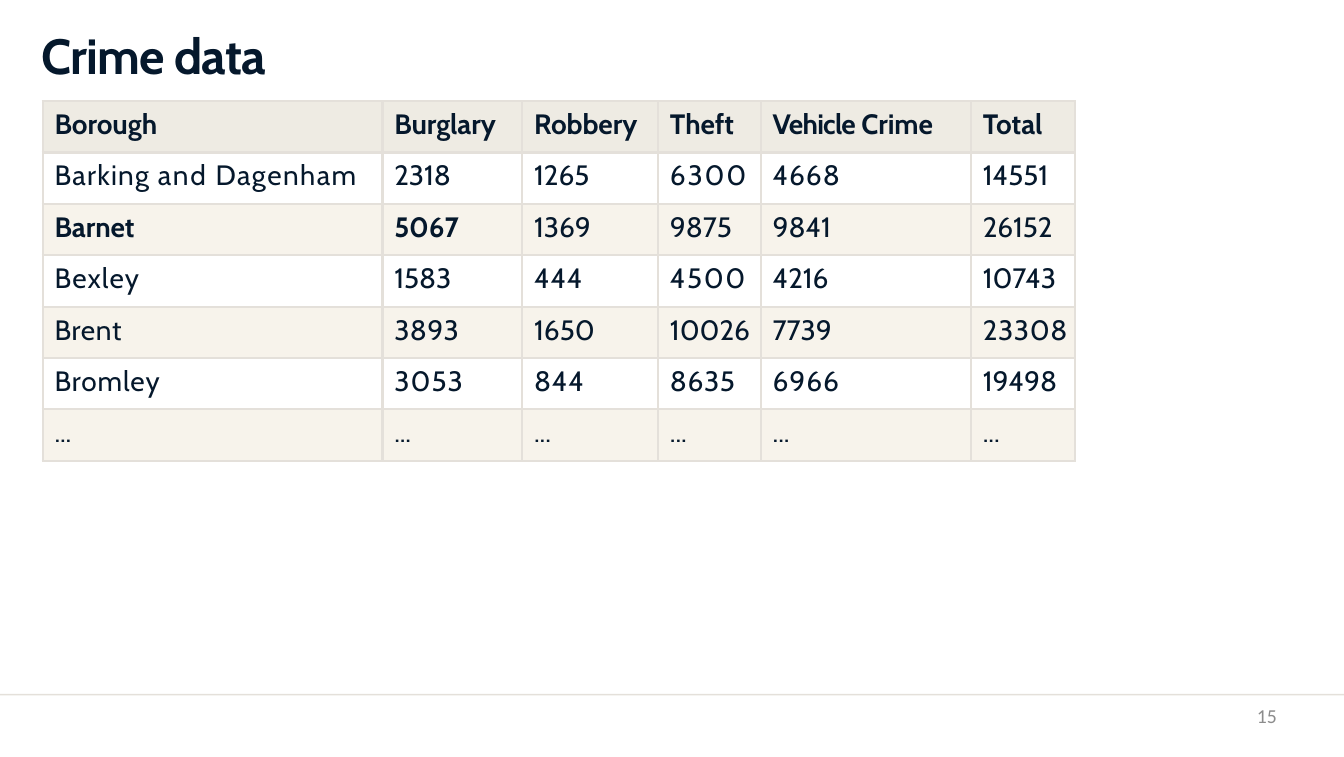
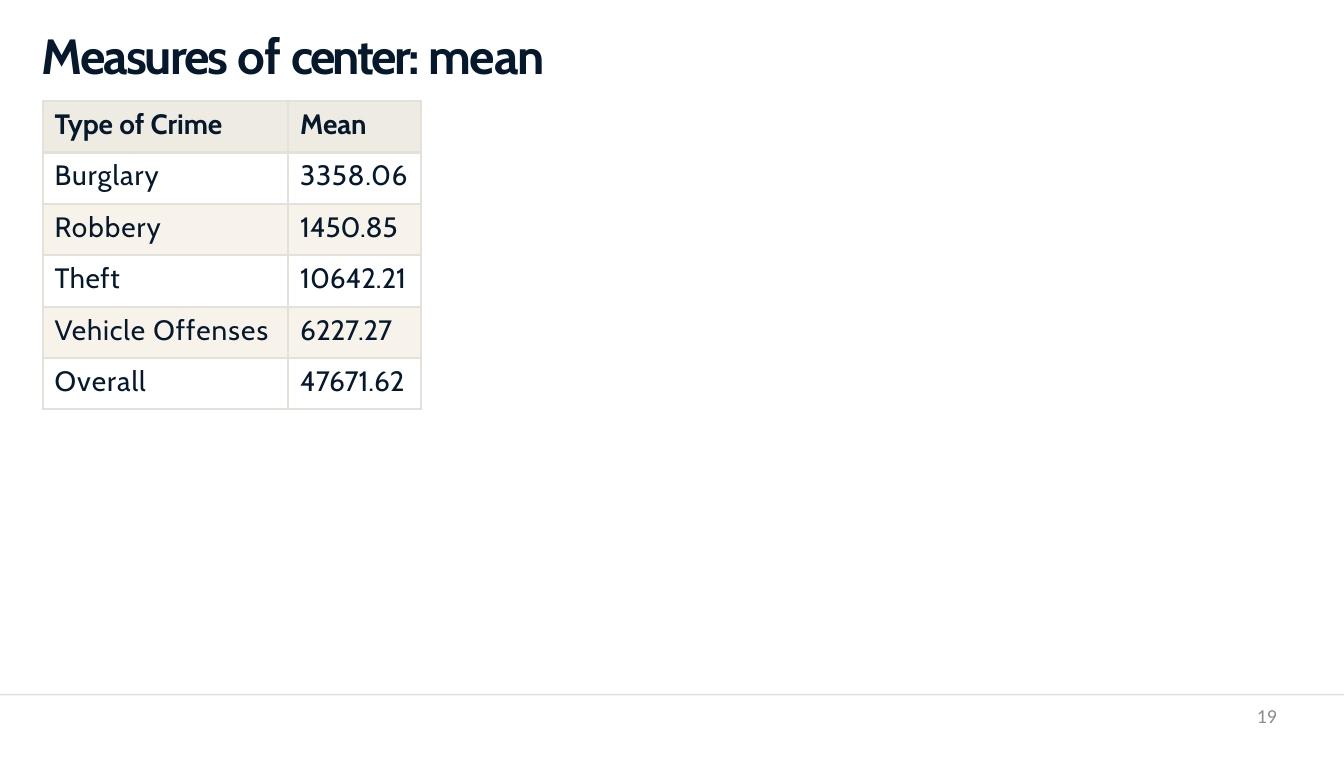
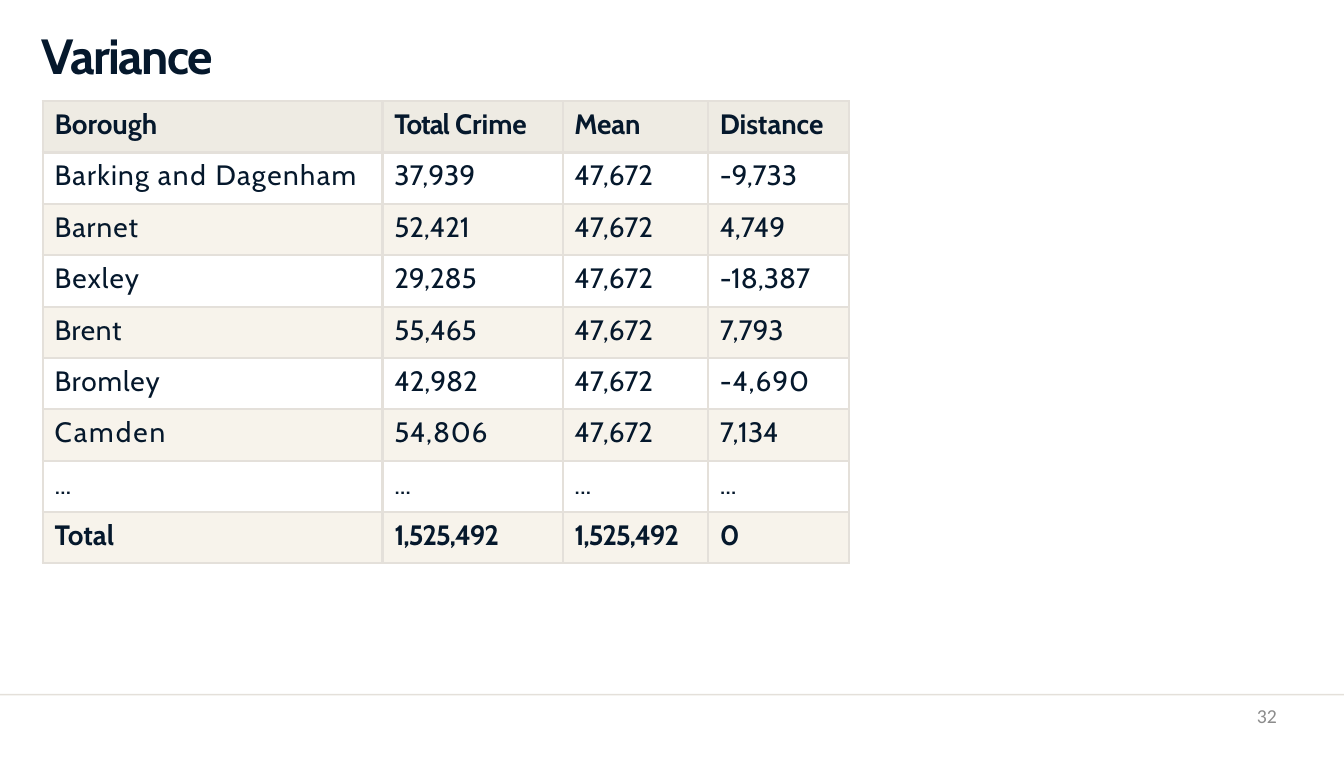
import pptx
import pptx.util
import pptx.dml.color
import pptx.enum.shapes
import pptx.enum.text
import pptx.oxml
import pptx.oxml.ns

PX = 9144
WIDE, HIGH = 1701, 958
ROW = 65
COLOR = {"ink": "05182C", "rule": "E4E0DA", "head": "EEEBE3",
         "band": "F7F3EB", "plain": "FFFFFF", "page": "8C8C8C"}

TITLE = {"Crime ": -1, "data": -0.8, "Measures ": -1.9, "of ": -0.9,
         "center: ": -2.5, "mean": -0.9, "Variance": -1.6}
BOLD = {"Vehicle ": -0.7, "Total ": -1, "of ": 0, "Mean": -0.2,
        "1,525,492": -1.2, "0": 0.1}
BODY = {"Barking ": 1.1, "and ": 1.5, "Dagenham": 1.3, "Barnet": 0.9,
        "Bexley": 1, "Brent": 0.6, "Bromley": 0.8, "Camden": 1.8,
        "Burglary": 0.9, "Robbery": 0.9, "Theft": 0.5, "Vehicle ": 0.8,
        "Offenses": 1, "Overall": 1, "6300": 1.6, "4668": 0.8,
        "444": 0.7, "4500": 1.4, "3893": 0.3, "23308": 0.5,
        "3053": 0.9, "844": 0.7, "8635": 0.5, "6966": 0.8,
        "3358.06": 0.5, "-4,690": 0.8, "54,806": 0.7}

CRIME = [
    ["Borough", "Burglary", "Robbery", "Theft", "Vehicle Crime", "Total"],
    ["Barking and Dagenham", "2318", "1265", "6300", "4668", "14551"],
    ["Barnet", "5067", "1369", "9875", "9841", "26152"],
    ["Bexley", "1583", "444", "4500", "4216", "10743"],
    ["Brent", "3893", "1650", "10026", "7739", "23308"],
    ["Bromley", "3053", "844", "8635", "6966", "19498"],
    ["..."] * 6,
]
MEANS = [
    ["Type of Crime", "Mean"],
    ["Burglary", "3358.06"],
    ["Robbery", "1450.85"],
    ["Theft", "10642.21"],
    ["Vehicle Offenses", "6227.27"],
    ["Overall", "47671.62"],
]
SPREAD = [
    ["Borough", "Total Crime", "Mean", "Distance"],
    ["Barking and Dagenham", "37,939", "47,672", "-9,733"],
    ["Barnet", "52,421", "47,672", "4,749"],
    ["Bexley", "29,285", "47,672", "-18,387"],
    ["Brent", "55,465", "47,672", "7,793"],
    ["Bromley", "42,982", "47,672", "-4,690"],
    ["Camden", "54,806", "47,672", "7,134"],
    ["..."] * 4,
    ["Total", "1,525,492", "1,525,492", "0"],
]


def scale(*sizes):
    return [size * PX for size in sizes]


def color(name):
    return pptx.dml.color.RGBColor.from_string(COLOR[name])


def style(font, face, size, tone, bold=False):
    font.name = face
    font.size = pptx.util.Pt(size)
    font.bold = bold
    font.color.rgb = color(tone)


def write(para, text, size, bold, gaps, before):
    para.space_before = pptx.util.Pt(before)
    words = text.split(" ")
    parts = [word + " " for word in words[:-1]] + words[-1:]
    for part in parts:
        run = para.add_run()
        run.text = part
        style(run.font, "Cabin", size, "ink", bold)
        gap = round(gaps.get(part, -0.1) * 100)
        run.font._element.set("spc", str(gap))


def add_box(slide, *place):
    frame = slide.shapes.add_textbox(*scale(*place)).text_frame
    frame.word_wrap = True
    frame.margin_left = frame.margin_right = 0
    frame.margin_top = frame.margin_bottom = 0
    return frame


def add_title(slide, text):
    frame = add_box(slide, 53, 30, 1584, 78)
    frame.margin_top = 2 * PX
    write(frame.paragraphs[0], text, 45, True, TITLE, 1.1)


def add_foot(slide, page):
    rule = slide.shapes.add_shape(
        pptx.enum.shapes.MSO_SHAPE.RECTANGLE, *scale(0, 878, WIDE, 2))
    rule.shadow.inherit = False
    rule.fill.solid()
    rule.fill.fore_color.rgb = color("rule")
    rule.line.fill.background()
    para = add_box(slide, 1225, 891, 391, 48).paragraphs[0]
    para.text = str(page)
    para.alignment = pptx.enum.text.PP_ALIGN.RIGHT
    style(para.runs[0].font, "Calibri", 18, "page")


def add_edges(cell):
    props = cell._tc.get_or_add_tcPr()
    space = pptx.oxml.ns.nsdecls("a")
    for side in "LRTB":
        props.append(pptx.oxml.parse_xml(
            f'<a:ln{side} {space} w="28575"><a:solidFill>'
            f'<a:srgbClr val="{COLOR["rule"]}"/></a:solidFill></a:ln{side}>'))


def fill_cell(cell, text, tone, bold):
    add_edges(cell)
    cell.fill.solid()
    cell.fill.fore_color.rgb = color(tone)
    cell.margin_left = 15 * PX
    cell.margin_top = 8 * PX
    cell.margin_right = cell.margin_bottom = 0
    write(cell.text_frame.paragraphs[0], text, 25.5, bold,
          BOLD if bold else BODY, 5.9)


def add_grid(slide, rows, widths, strong):
    place = scale(54, 128, sum(widths), ROW * len(rows))
    grid = slide.shapes.add_table(len(rows), len(widths), *place).table
    grid.first_row = grid.horz_banding = False
    for col, width in zip(grid.columns, widths):
        col.width = width * PX
    for y, row in enumerate(rows):
        grid.rows[y].height = ROW * PX
        tone = "head" if y == 0 else "plain" if y % 2 else "band"
        for x, text in enumerate(row):
            bold = y == 0 or (y, x) in strong
            fill_cell(grid.cell(y, x), text, tone, bold)


def add_page(deck, title, page, rows, widths, strong=()):
    slide = deck.slides.add_slide(deck.slide_layouts[6])
    add_title(slide, title)
    add_grid(slide, rows, widths, strong)
    add_foot(slide, page)


def main():
    deck = pptx.Presentation()
    deck.slide_width, deck.slide_height = scale(WIDE, HIGH)
    add_page(deck, "Crime data", 15, CRIME,
             [430, 177, 172, 130, 266, 132], [(2, 0), (2, 1)])
    add_page(deck, "Measures of center: mean", 19, MEANS, [311, 168])
    add_page(deck, "Variance", 32, SPREAD, [430, 228, 184, 179],
             [(8, x) for x in range(4)])
    deck.save("out.pptx")


if __name__ == "__main__":
    main()
